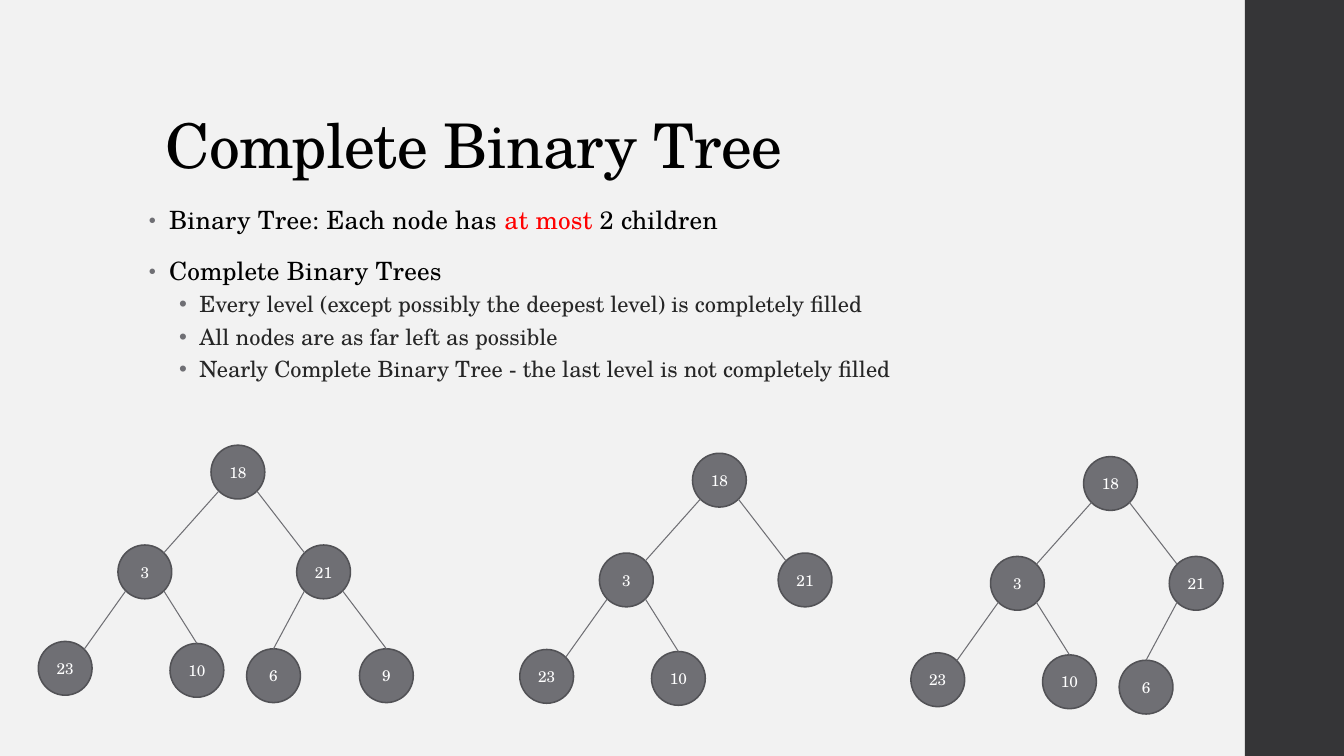
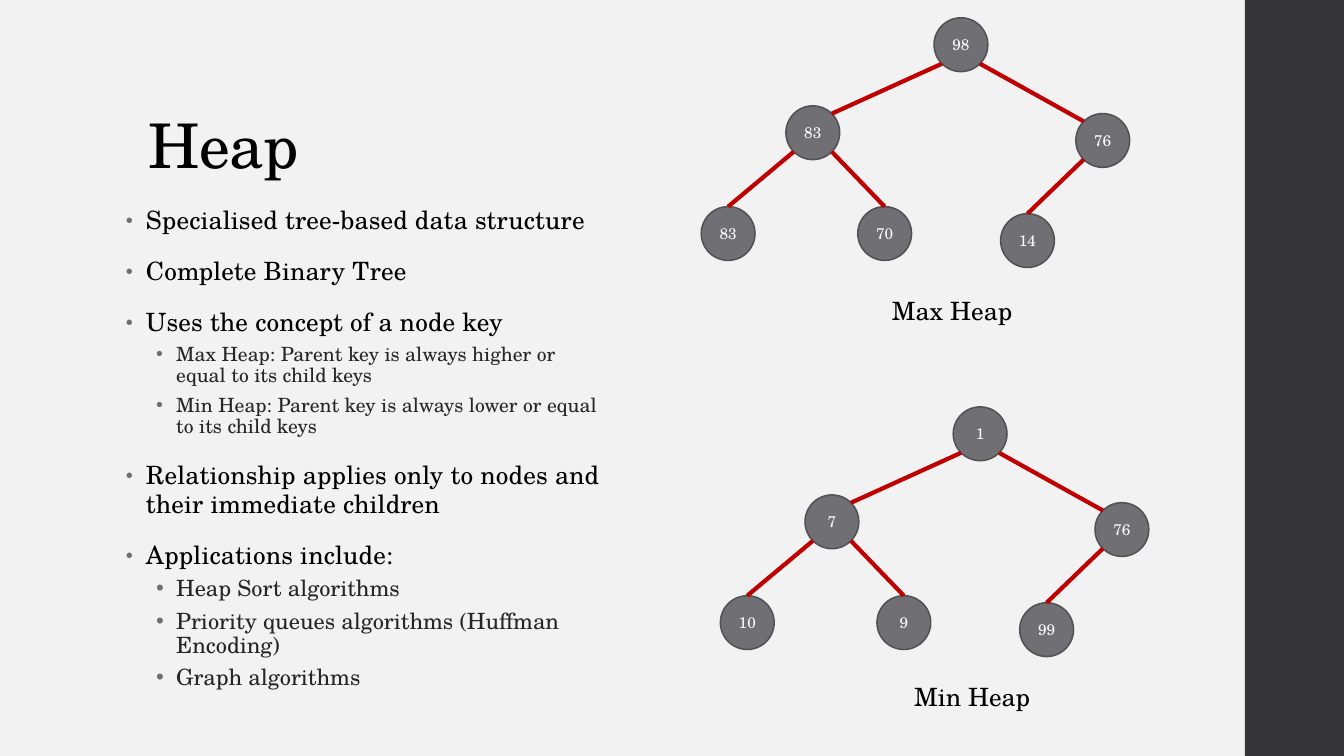
from dataclasses import dataclass

from lxml.etree import SubElement
from pptx import Presentation
from pptx.dml.color import RGBColor
from pptx.enum.shapes import MSO_CONNECTOR, MSO_SHAPE
from pptx.enum.text import MSO_ANCHOR, MSO_AUTO_SIZE, PP_ALIGN
from pptx.oxml.ns import qn
from pptx.util import Emu, Inches, Pt


@dataclass(frozen=True)
class Theme:
    font: str = "TeX Gyre Schola"
    paper: str = "F2F2F2"
    band: str = "353537"
    ink: str = "000000"
    soft_ink: str = "262626"
    alert: str = "FF0000"
    node: str = "6F6F74"
    node_rim: str = "525256"
    node_ink: str = "FFFFFF"
    heap_edge: str = "C00000"
    title: float = 44
    point: float = 18
    detail: float = 16
    small_detail: float = 14
    key: float = 11


THEME = Theme()

# Grid of square cells: 40 columns by 22.5 rows
COLUMNS, ROWS = 40, 22.5
deck = Presentation()
deck.slide_width, deck.slide_height = Emu(12192000), Emu(6858000)
CELL = deck.slide_width / COLUMNS


def cells(*counts):
    return [Emu(round(count * CELL)) for count in counts]


def write(paragraph, text, size, color, tracking=0):
    run = paragraph.add_run()
    run.text = text
    run.font.name = THEME.font
    run.font.size = Pt(size)
    run.font.color.rgb = RGBColor.from_string(color)
    if tracking:
        run.font._element.set("spc", str(round(tracking * 100)))


# Bullet levels: indent, line spacing, space before and after, bullet %, colour, tracking
LEVELS = (
    (0.2, 0.95, 14, 2, 80, THEME.ink, 0.1),
    (0.5, 0.9, 3, 3, 100, THEME.soft_ink, 0),
)

# Tree slots in level order: column and row from the root, then where the edge
# arrives on the node (as shares of its size, for a left child)
NODE = 1.6
NEAR, FAR = 0.146, 0.854
CORNER, TOP = (FAR, NEAR), (0.5, 0)
PLAIN_SLOTS = (
    (0, 0, None),
    (-2.77, 2.97, CORNER), (2.55, 2.97, CORNER),
    (-5.14, 5.84, CORNER), (-1.22, 5.9, TOP), (1.06, 6.06, TOP), (4.42, 6.06, TOP),
)
HEAP_SLOTS = (
    (0, 0, None),
    (-4.41, 2.62, CORNER), (4.22, 2.85, CORNER),
    (-6.93, 5.62, TOP), (-2.27, 5.62, TOP), (1.98, 5.83, TOP),
)

# Content: points are (level, size, runs); trees are (root, keys, label, label box)
PAGES = (
    {
        "title": " Complete Binary Tree",
        "body": (4.14, 6, 28.2, 14.28),
        "points": (
            (0, THEME.point, (("Binary Tree: Each node has ", THEME.ink),
                              ("at most", THEME.alert),
                              (" 2 children", THEME.ink))),
            (0, THEME.point, "Complete Binary Trees"),
            (1, THEME.detail, "Every level (except possibly the deepest level) is completely filled"),
            (1, THEME.detail, "All nodes are as far left as possible"),
            (1, THEME.detail, "Nearly Complete Binary Tree - the last level is not completely filled"),
        ),
        "slots": PLAIN_SLOTS,
        "edge": (THEME.node, 0.75),
        "trees": (
            ((6.28, 13.25), (18, 3, 21, 23, 10, 6, 9), None, None),
            ((20.61, 13.49), (18, 3, 21, 23, 10), None, None),
            ((32.25, 13.59), (18, 3, 21, 23, 10, 6), None, None),
        ),
    },
    {
        "title": "Heap",
        "body": (3.45, 6, 14.91, 15.3),
        "points": (
            (0, THEME.point, "Specialised tree-based data structure"),
            (0, THEME.point, "Complete Binary Tree"),
            (0, THEME.point, "Uses the concept of a node key"),
            (1, THEME.small_detail, "Max Heap: Parent key is always higher or equal to its child keys"),
            (1, THEME.small_detail, "Min Heap: Parent key is always lower or equal to its child keys"),
            (0, THEME.point, "Relationship applies only to nodes and their immediate children"),
            (0, THEME.point, "Applications include:"),
            (1, THEME.detail, "Heap Sort algorithms"),
            (1, THEME.detail, "Priority queues algorithms (Huffman Encoding)"),
            (1, THEME.detail, "Graph algorithms"),
        ),
        "slots": HEAP_SLOTS,
        "edge": (THEME.heap_edge, 3),
        "trees": (
            ((27.8, 0.53), (98, 83, 76, 83, 70, 14), "Max Heap", (26.25, 8.64, 4.23, 1.2)),
            ((28.37, 12.11), (1, 7, 76, 10, 9, 99), "Min Heap", (26.91, 20.13, 4.11, 1.2)),
        ),
    },
)

# Shared background
paper = deck.slide_master.background.fill
paper.solid()
paper.fore_color.rgb = RGBColor.from_string(THEME.paper)

for page in PAGES:
    slide = deck.slides.add_slide(deck.slide_layouts[6])

    # Side band
    band = slide.shapes.add_shape(MSO_SHAPE.RECTANGLE, *cells(37.05, 0, COLUMNS - 37.05, ROWS))
    band.shadow.inherit = False
    band.fill.solid()
    band.fill.fore_color.rgb = RGBColor.from_string(THEME.band)
    band.line.fill.background()

    # Title
    heading = slide.shapes.add_textbox(*cells(4.14, 1.2, 31.8, 4.35)).text_frame
    heading.word_wrap = True
    heading.vertical_anchor = MSO_ANCHOR.BOTTOM
    heading.paragraphs[0].line_spacing = 0.9
    write(heading.paragraphs[0], page["title"], THEME.title, THEME.ink, -0.5)

    # Bullet points
    body = slide.shapes.add_textbox(*cells(*page["body"])).text_frame
    body.word_wrap = True
    for number, (level, size, content) in enumerate(page["points"]):
        indent, leading, before, after, bullet_size, color, tracking = LEVELS[level]
        point = body.add_paragraph() if number else body.paragraphs[0]
        point.level = level
        point.line_spacing = leading
        point.space_before, point.space_after = Pt(before), Pt(after)
        properties = point._p.get_or_add_pPr()
        properties.set("marL", str(Inches(indent)))
        properties.set("indent", str(-Inches(0.2)))
        bullet_color = SubElement(properties, qn("a:buClr"))
        SubElement(bullet_color, qn("a:srgbClr"), val=THEME.node)
        SubElement(properties, qn("a:buSzPct"), val=str(bullet_size * 1000))
        SubElement(properties, qn("a:buFont"), typeface="Arial")
        SubElement(properties, qn("a:buChar"), char="•")
        runs = ((content, color),) if isinstance(content, str) else content
        for text, run_color in runs:
            write(point, text, size, run_color, tracking)

    # Trees
    edge_color, edge_width = page["edge"]
    for (root_x, root_y), keys, label, label_box in page["trees"]:
        tree = slide.shapes.add_group_shape().shapes
        places = [(root_x + dx, root_y + dy) for dx, dy, _ in page["slots"]]

        for index, key in enumerate(keys):
            x, y = places[index]
            node = tree.add_shape(MSO_SHAPE.OVAL, *cells(x, y, NODE, NODE))
            node.shadow.inherit = False
            node.fill.solid()
            node.fill.fore_color.rgb = RGBColor.from_string(THEME.node)
            node.line.color.rgb = RGBColor.from_string(THEME.node_rim)
            node.line.width = Pt(1.1)
            frame = node.text_frame
            frame.margin_left = frame.margin_right = frame.margin_top = frame.margin_bottom = 0
            frame.vertical_anchor = MSO_ANCHOR.MIDDLE
            frame.paragraphs[0].alignment = PP_ALIGN.CENTER
            write(frame.paragraphs[0], str(key), THEME.key, THEME.node_ink)

            # Edge from the parent; right children mirror left ones
            if index == 0:
                continue
            parent_x, parent_y = places[(index - 1) // 2]
            is_left = index % 2 == 1
            arrive_x, arrive_y = page["slots"][index][2]
            leave_x = NEAR if is_left else FAR
            arrive_x = arrive_x if is_left else 1 - arrive_x
            edge = tree.add_connector(MSO_CONNECTOR.STRAIGHT, *cells(
                parent_x + leave_x * NODE, parent_y + FAR * NODE,
                x + arrive_x * NODE, y + arrive_y * NODE))
            edge.line.color.rgb = RGBColor.from_string(edge_color)
            edge.line.width = Pt(edge_width)
            SubElement(edge.element.spPr, qn("a:effectLst"))

        if label:
            caption = tree.add_textbox(*cells(*label_box)).text_frame
            caption.word_wrap = False
            caption.auto_size = MSO_AUTO_SIZE.SHAPE_TO_FIT_TEXT
            write(caption.paragraphs[0], label, THEME.point, THEME.ink)

deck.save("out.pptx")
